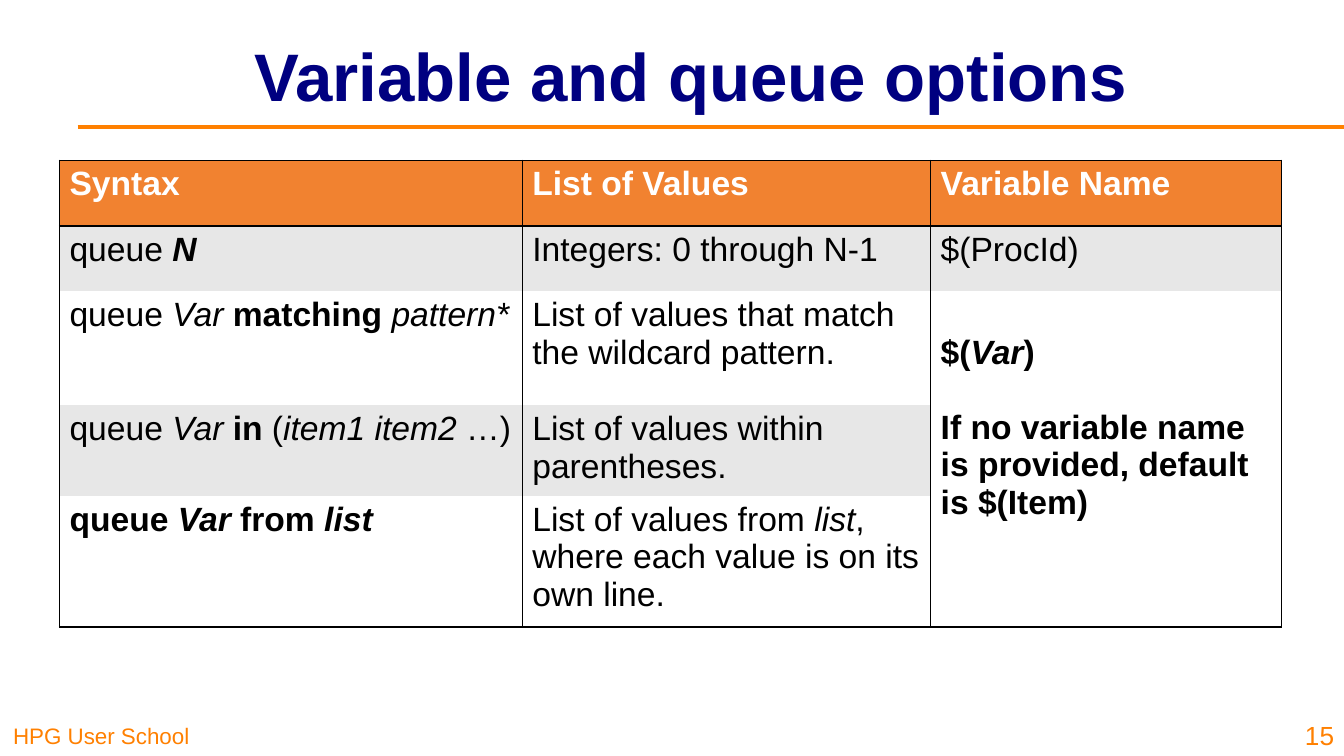
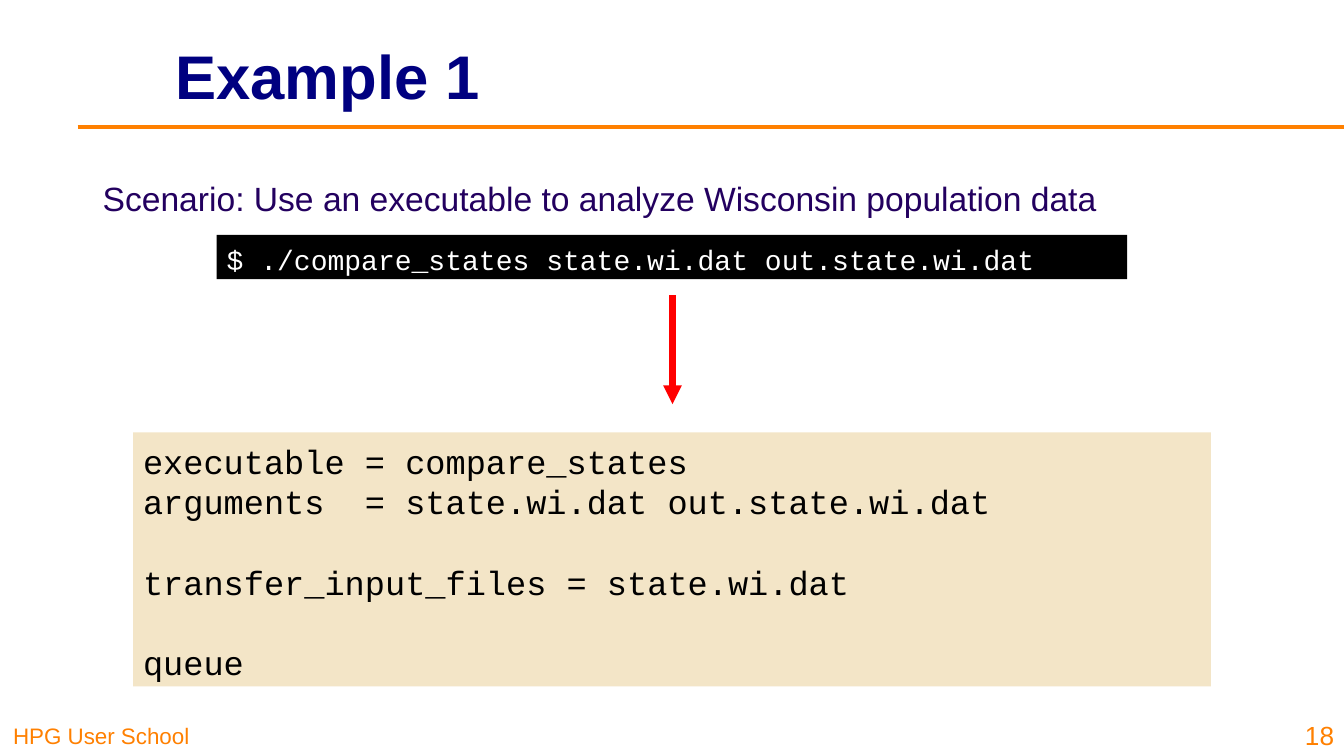
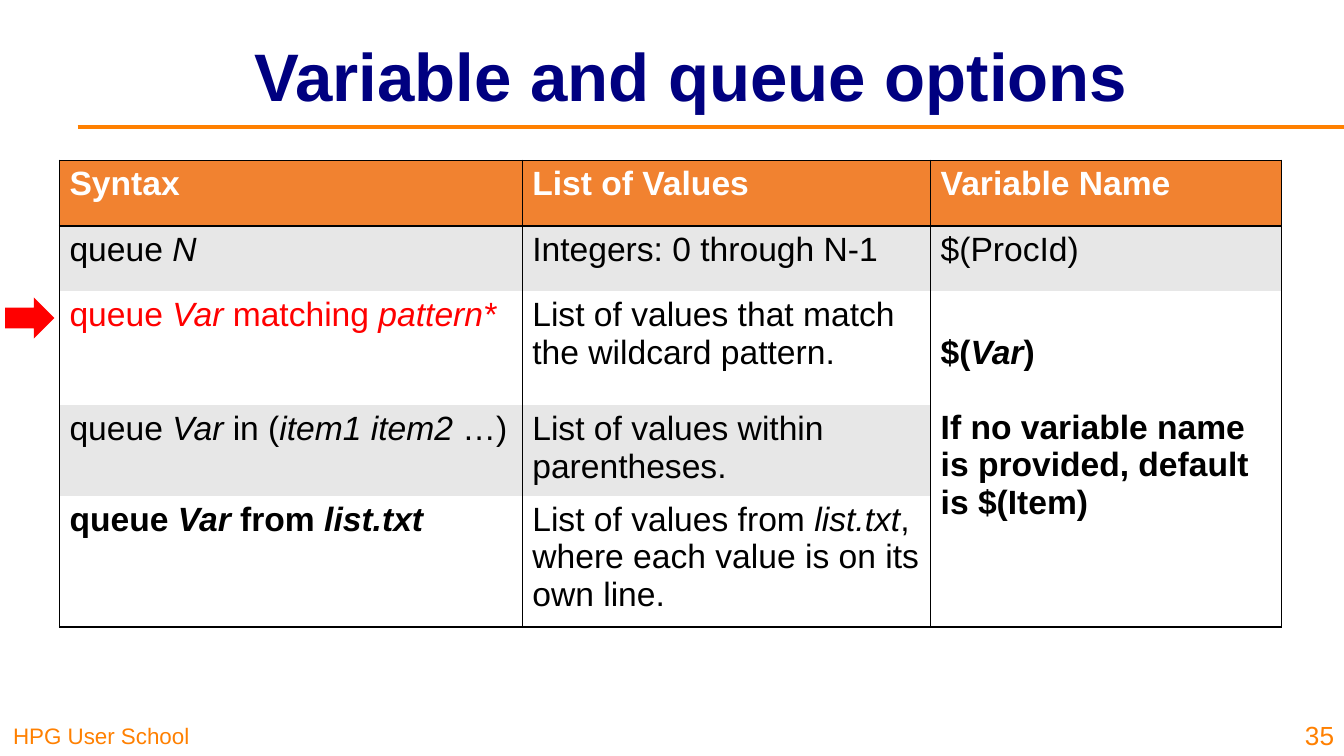
from dataclasses import dataclass

from lxml.etree import SubElement
from pptx import Presentation
from pptx.dml.color import RGBColor
from pptx.enum.shapes import MSO_CONNECTOR, MSO_SHAPE
from pptx.enum.text import MSO_ANCHOR, MSO_AUTO_SIZE, PP_ALIGN
from pptx.oxml import parse_xml
from pptx.oxml.ns import nsdecls, qn
from pptx.util import Inches, Pt

COLORS = {
    "navy": "000080",
    "indigo": "23005F",
    "orange": "FF8000",
    "header": "F18230",
    "band": "E7E7E7",
    "sand": "F3E5C7",
    "red": "FF0000",
    "black": "000000",
    "white": "FFFFFF",
}
SANS = "Arial"
MONO = "Courier New"
COLUMN_WIDTHS = (4.59, 4.05, 3.48)
ROW_HEIGHTS = (0.65, 0.65, 1.13, 0.84, 1.22)
ROW_FILLS = ("header", "band", "white", "band", "white")
MERGED_ROW = 2


@dataclass(frozen=True)
class Style:
    size: float
    color: str = "black"
    font: str = SANS
    bold: bool = False


@dataclass(frozen=True)
class Span:
    text: str
    bold: bool = False
    italic: bool = False


@dataclass(frozen=True)
class Box:
    left: float
    top: float
    width: float
    height: float

    def lengths(self) -> tuple:
        return tuple(Inches(value) for value in (self.left, self.top, self.width, self.height))


@dataclass(frozen=True)
class CodePanel:
    box: Box
    fill: str
    style: Style
    blocks: tuple


@dataclass(frozen=True)
class OptionsSlide:
    number: int
    syntaxes: tuple
    list_name: str
    highlighted_row: int = 0


BODY = Style(24)
TITLE_BOX = Box(1.79, 0.12, 10.13, 1.25)
EXAMPLE_TITLE_BOX = Box(1.64, 0.12, 11.54, 1.25)

OPTIONS = OptionsSlide(
    15,
    (
        (Span("queue "), Span("N", True, True)),
        (Span("queue "), Span("Var ", italic=True), Span("matching ", True), Span("pattern*", italic=True)),
        (Span("queue "), Span("Var ", italic=True), Span("in", True), Span(" ("),
         Span("item1 item2", italic=True), Span(" …)")),
        (Span("queue ", True), Span("Var ", True, True), Span("from ", True), Span("list", True, True)),
    ),
    "list",
)
MATCHING_OPTIONS = OptionsSlide(
    35,
    (
        (Span("queue "), Span("N", italic=True)),
        (Span("queue "), Span("Var", italic=True), Span(" matching "), Span("pattern*", italic=True)),
        (Span("queue "), Span("Var", italic=True), Span(" in ("), Span("item1 item2", italic=True), Span(" …)")),
        (Span("queue ", True), Span("Var", True, True), Span(" from ", True), Span("list.txt", True, True)),
    ),
    "list.txt",
    highlighted_row=2,
)
CODE_PANELS = (
    CodePanel(
        Box(1.32, 4.29, 10.69, 2.52), "sand", Style(24, font=MONO),
        (
            ("executable = compare_states", "arguments  = state.wi.dat out.state.wi.dat"),
            ("transfer_input_files = state.wi.dat",),
            ("queue",),
        ),
    ),
    CodePanel(
        Box(2.15, 2.33, 9.03, 0.44), "black", Style(20, "white", MONO),
        (("$ ./compare_states state.wi.dat out.state.wi.dat",),),
    ),
)


def rgb(name: str) -> RGBColor:
    return RGBColor.from_string(COLORS[name])


def write_spans(paragraph, spans: tuple, style: Style) -> None:
    for span in spans:
        run = paragraph.add_run()
        run.text = span.text
        run.font.name = style.font
        run.font.size = Pt(style.size)
        run.font.bold = style.bold or span.bold
        run.font.italic = span.italic
        run.font.color.rgb = rgb(style.color)


def add_text(slide, box: Box, text: str, style: Style, align=PP_ALIGN.LEFT,
             anchor=MSO_ANCHOR.TOP, margins: tuple = (0.1, 0.05)) -> None:
    frame = slide.shapes.add_textbox(*box.lengths()).text_frame
    frame.word_wrap = True
    frame.vertical_anchor = anchor
    frame.margin_left = frame.margin_right = Inches(margins[0])
    frame.margin_top = frame.margin_bottom = Inches(margins[1])
    frame.paragraphs[0].alignment = align
    write_spans(frame.paragraphs[0], (Span(text),), style)


def add_line(slide, start: tuple, end: tuple, color: str, width: float, arrow: bool = False) -> None:
    points = [Inches(value) for value in (*start, *end)]
    connector = slide.shapes.add_connector(MSO_CONNECTOR.STRAIGHT, *points)
    connector.line.color.rgb = rgb(color)
    connector.line.width = Pt(width)
    if arrow:
        SubElement(connector.line._get_or_add_ln(), qn("a:tailEnd"), type="triangle")
    SubElement(connector._element.spPr, qn("a:effectLst"))


def add_filled_shape(slide, kind, box: Box, fill: str):
    shape = slide.shapes.add_shape(kind, *box.lengths())
    shape.shadow.inherit = False
    shape.fill.solid()
    shape.fill.fore_color.rgb = rgb(fill)
    shape.line.fill.background()
    return shape


def add_base_slide(presentation, number: int, title: str, box: Box, size: float, align):
    slide = presentation.slides.add_slide(presentation.slide_layouts[5])
    placeholder = slide.shapes.title
    placeholder.left, placeholder.top, placeholder.width, placeholder.height = box.lengths()
    frame = placeholder.text_frame
    frame.word_wrap = True
    frame.auto_size = MSO_AUTO_SIZE.NONE
    frame.vertical_anchor = MSO_ANCHOR.MIDDLE
    frame.paragraphs[0].alignment = align
    write_spans(frame.paragraphs[0], (Span(title),), Style(size, "navy", bold=True))
    add_line(slide, (0.77, 1.26), (13.33, 1.26), "orange", 3)
    add_text(slide, Box(0, 7.08, 3.3, 0.42), "HPG User School", Style(16, "orange"),
             anchor=MSO_ANCHOR.BOTTOM, margins=(0.13, 0.07))
    add_text(slide, Box(12.72, 7, 0.61, 0.5), str(number), Style(18.7, "orange"),
             PP_ALIGN.RIGHT, MSO_ANCHOR.BOTTOM)
    return slide


def set_borders(cell, widths: dict) -> None:
    properties = cell._tc.get_or_add_tcPr()
    for index, side in enumerate("LRTB"):
        width = widths.get(side, 0)
        paint = f'<a:solidFill><a:srgbClr val="{COLORS["black"]}"/></a:solidFill>' if width else "<a:noFill/>"
        border = parse_xml(f'<a:ln{side} {nsdecls("a")} w="{Pt(width)}">{paint}</a:ln{side}>')
        properties.insert(index, border)


def table_rows(options: OptionsSlide) -> list:
    headings = [(Span(text, True),) for text in ("Syntax", "List of Values", "Variable Name")]
    values = (
        (Span("Integers: 0 through N-1"),),
        (Span("List of values that match the wildcard pattern."),),
        (Span("List of values within parentheses."),),
        (Span("List of values from "), Span(options.list_name, italic=True),
         Span(", where each value is on its own line.")),
    )
    names = ((Span("$(ProcId)"),), (Span("$(", True), Span("Var", True, True), Span(")", True)), (), ())
    return [headings, *zip(options.syntaxes, values, names)]


def add_options_table(slide, options: OptionsSlide) -> None:
    box = Box(0.59, 1.59, sum(COLUMN_WIDTHS), sum(ROW_HEIGHTS))
    table = slide.shapes.add_table(len(ROW_HEIGHTS), len(COLUMN_WIDTHS), *box.lengths()).table
    for column, width in zip(table.columns, COLUMN_WIDTHS):
        column.width = Inches(width)
    last_row = len(ROW_HEIGHTS) - 1
    for row_index, spans_by_column in enumerate(table_rows(options)):
        table.rows[row_index].height = Inches(ROW_HEIGHTS[row_index])
        for column_index, spans in enumerate(spans_by_column):
            cell = table.cell(row_index, column_index)
            merged = column_index == 2 and row_index >= MERGED_ROW
            cell.fill.solid()
            cell.fill.fore_color.rgb = rgb("white" if merged else ROW_FILLS[row_index])
            borders = {"L": 1, "R": 1}
            if row_index == 0:
                borders.update(T=1, B=2)
            elif row_index == 1:
                borders["T"] = 2
            if merged or row_index == last_row:
                borders["B"] = 1
            set_borders(cell, borders)
            color = "white" if row_index == 0 else "black"
            if column_index == 0 and row_index and row_index == options.highlighted_row:
                color = "red"
            write_spans(cell.text_frame.paragraphs[0], spans, Style(24, color))
    variable_cell = table.cell(MERGED_ROW, 2)
    variable_cell.merge(table.cell(last_row, 2))
    variable_cell.margin_top = Inches(0.42)
    paragraph = variable_cell.text_frame.add_paragraph()
    paragraph.space_before = Pt(27)
    write_spans(paragraph, (Span("If no variable name is provided, default is $(Item)", True),), BODY)


def add_options_slide(presentation, options: OptionsSlide) -> None:
    slide = add_base_slide(presentation, options.number, "Variable and queue options",
                           TITLE_BOX, 48, PP_ALIGN.CENTER)
    add_options_table(slide, options)
    if options.highlighted_row:
        add_filled_shape(slide, MSO_SHAPE.RIGHT_ARROW, Box(0.05, 2.95, 0.49, 0.41), "red")


def add_code_panel(slide, panel: CodePanel) -> None:
    frame = add_filled_shape(slide, MSO_SHAPE.RECTANGLE, panel.box, panel.fill).text_frame
    frame.word_wrap = True
    frame.vertical_anchor = MSO_ANCHOR.TOP
    frame.margin_top = Inches(0.08)
    frame.margin_bottom = 0
    line_height = Pt(panel.style.size * 1.2)
    paragraph = None
    for block in panel.blocks:
        for line_index, line in enumerate(block):
            first = paragraph is None
            paragraph = frame.paragraphs[0] if first else frame.add_paragraph()
            paragraph.alignment = PP_ALIGN.LEFT
            paragraph.line_spacing = line_height
            if line_index == 0 and not first:
                paragraph.space_before = line_height
            write_spans(paragraph, (Span(line),), panel.style)


def add_example_slide(presentation) -> None:
    slide = add_base_slide(presentation, 18, "Example 1", EXAMPLE_TITLE_BOX, 44, PP_ALIGN.LEFT)
    add_text(slide, Box(0.92, 1.72, 11.97, 0.5),
             "Scenario: Use an executable to analyze Wisconsin population data", Style(24, "indigo"))
    for panel in CODE_PANELS:
        add_code_panel(slide, panel)
    add_line(slide, (6.67, 2.93), (6.67, 4.01), "red", 4.5, arrow=True)


def main() -> None:
    presentation = Presentation()
    presentation.slide_width = Inches(13.33)
    presentation.slide_height = Inches(7.5)
    add_options_slide(presentation, OPTIONS)
    add_example_slide(presentation)
    add_options_slide(presentation, MATCHING_OPTIONS)
    presentation.save("out.pptx")


if __name__ == "__main__":
    main()
